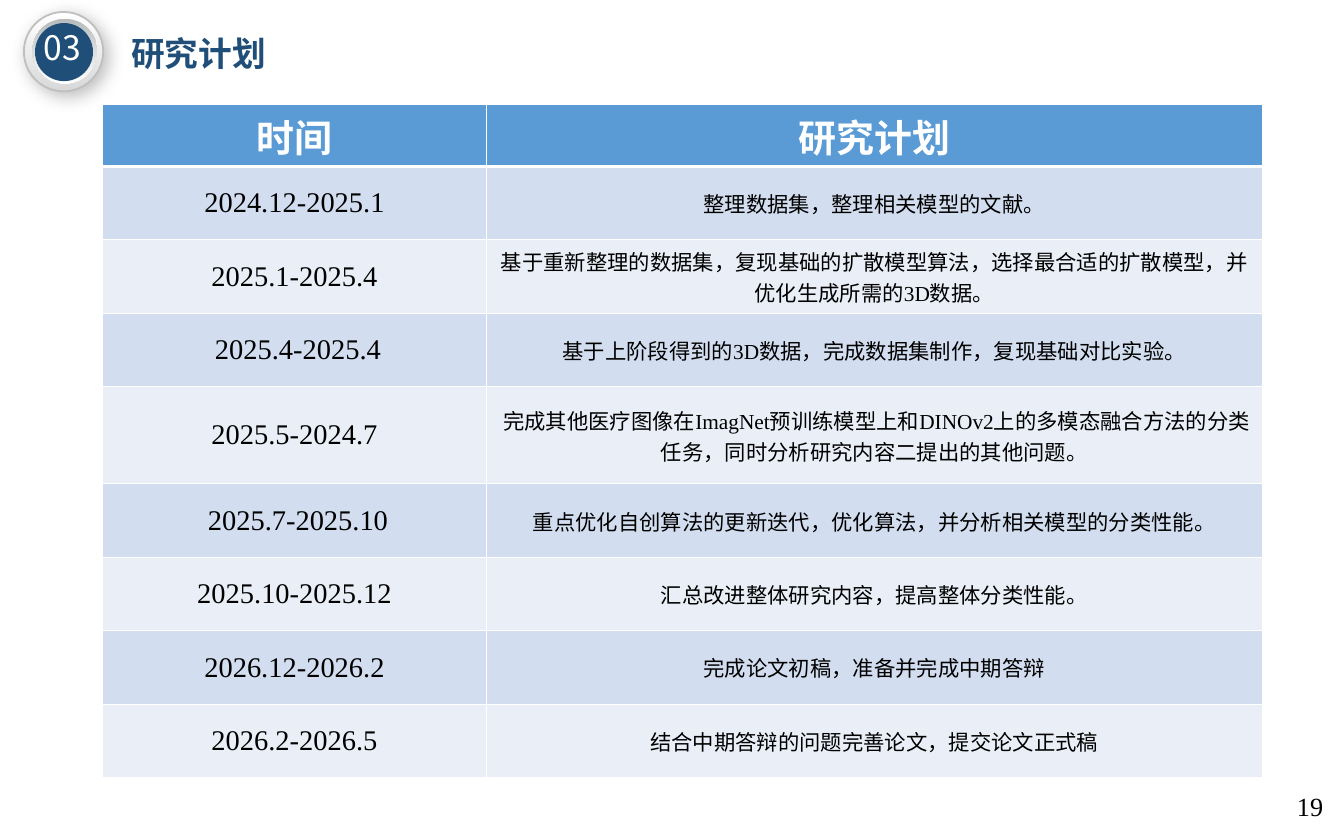
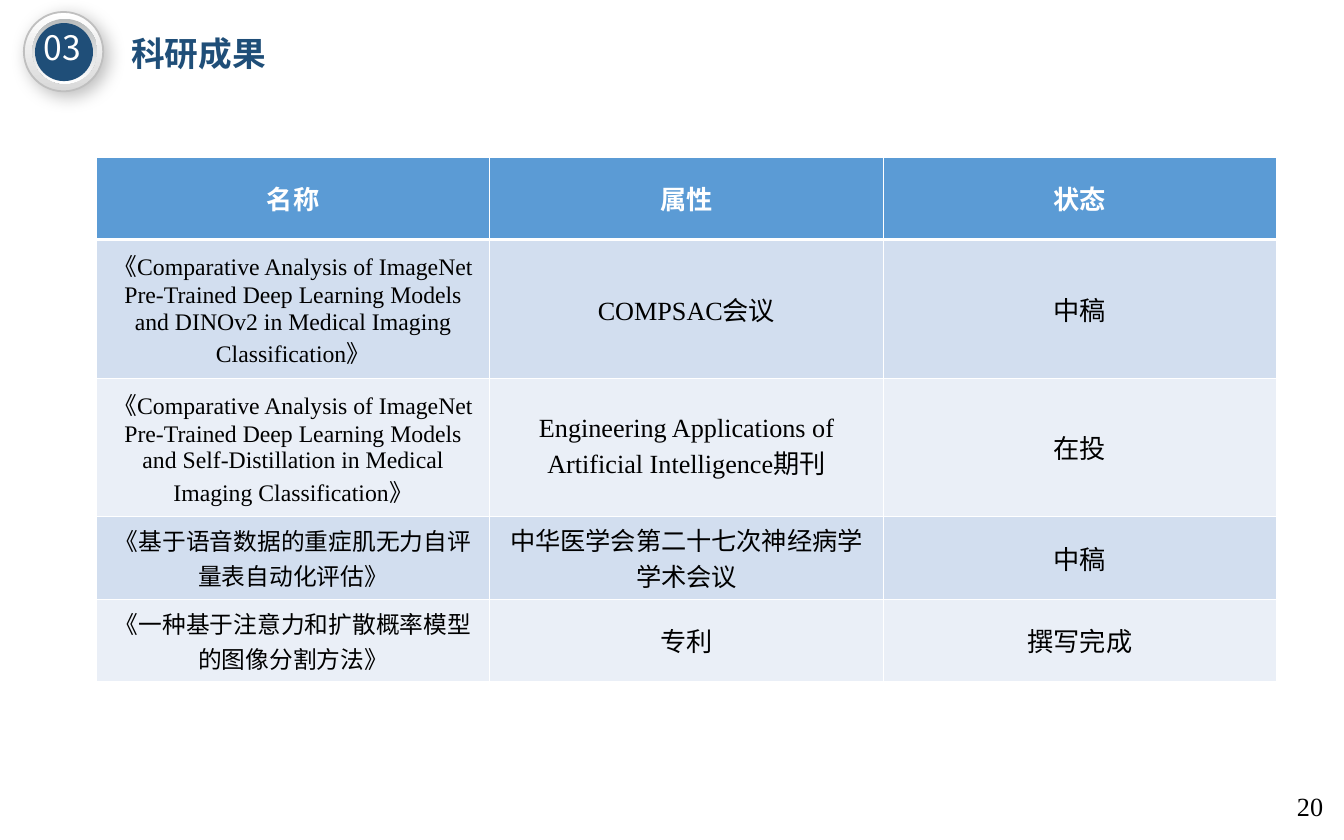
from dataclasses import dataclass, field

from lxml import etree
from pptx import Presentation
from pptx.dml.color import RGBColor
from pptx.enum.shapes import MSO_SHAPE
from pptx.enum.text import MSO_ANCHOR, PP_ALIGN
from pptx.oxml.ns import qn
from pptx.util import Inches, Pt

OVAL = MSO_SHAPE.OVAL
ROUNDED = MSO_SHAPE.ROUNDED_RECTANGLE
MIDDLE = MSO_ANCHOR.MIDDLE
LEFT, CENTER = PP_ALIGN.LEFT, PP_ALIGN.CENTER

SANS, SERIF = "Noto Sans CJK SC", "Times New Roman"
NAVY, WHITE, BLACK = "1F4E78", "FFFFFF", "000000"
HEADER_BLUE = "5B9BD5"
BANDS = ("D2DEEF", "EAEFF7")
THIN, THICK = 1, 3


@dataclass(frozen=True)
class TextStyle:
    size: float
    font: str
    color: str
    bold: bool = False
    align: PP_ALIGN = CENTER


@dataclass(frozen=True)
class Ring:
    shape: MSO_SHAPE
    left: float
    top: float
    size: float
    colors: tuple[str, ...]
    line: str = ""
    shadow: bool = False


@dataclass(frozen=True)
class TablePage:
    title: str
    number: int
    left: float
    top: float
    widths: list[float]
    heights: list[float]
    header_size: float
    body_sizes: list[float]
    rows: list[list[str]]
    special_styles: dict[str, TextStyle] = field(default_factory=dict)


TITLE = TextStyle(28.4, SANS, NAVY, True, LEFT)
SECTION = TextStyle(28.4, SANS, WHITE)
PAGE_NUMBER = TextStyle(22.1, SERIF, BLACK, align=LEFT)

BADGE = [
    Ring(OVAL, 0.28, 0.14, 0.93, (WHITE, "D9D9D9"), "BFBFBF", True),
    Ring(ROUNDED, 0.38, 0.22, 0.76, ("B8BBBC", WHITE)),
    Ring(OVAL, 0.41, 0.27, 0.68, (NAVY,)),
]

CONFERENCE = "中华医学会第二十七次神经病学学术会议"

PAGES = [
    TablePage(
        "研究计划", 19, 1.2, 1.22, [4.5, 9.09],
        [0.73] + [0.86] * 3 + [1.14] + [0.86] * 4, 32, [24, 18],
        [
            ["时间", "研究计划"],
            ["2024.12-2025.1", "整理数据集，整理相关模型的文献。"],
            ["2025.1-2025.4", "基于重新整理的数据集，复现基础的扩散模型算法，选择最合适的扩散模型，并优化生成所需的3D数据。"],
            [" 2025.4-2025.4", "基于上阶段得到的3D数据，完成数据集制作，复现基础对比实验。"],
            ["2025.5-2024.7", " 完成其他医疗图像在ImagNet预训练模型上和DINOv2上的多模态融合方法的分类任务，同时分析研究内容二提出的其他问题。"],
            [" 2025.7-2025.10", "重点优化自创算法的更新迭代，优化算法，并分析相关模型的分类性能。"],
            ["2025.10-2025.12", "汇总改进整体研究内容，提高整体分类性能。"],
            ["2026.12-2026.2", "完成论文初稿，准备并完成中期答辩"],
            ["2026.2-2026.5", "结合中期答辩的问题完善论文，提交论文正式稿"],
        ],
    ),
    TablePage(
        "科研成果", 20, 1.13, 1.84, [4.61] * 3,
        [0.97, 1.62, 1.62, 0.97, 0.97], 22.1, [20, 22.1, 22.1],
        [
            ["名称", "属性", "状态"],
            ["《Comparative Analysis of ImageNet Pre-Trained Deep Learning Models and DINOv2 in Medical Imaging Classification》", "COMPSAC会议", "中稿"],
            ["《Comparative Analysis of ImageNet Pre-Trained Deep Learning Models and Self-Distillation in Medical Imaging Classification》", "Engineering Applications of Artificial Intelligence期刊", "在投"],
            ["《基于语音数据的重症肌无力自评量表自动化评估》", CONFERENCE, "中稿"],
            ["《一种基于注意力和扩散概率模型的图像分割方法》", "专利", "撰写完成"],
        ],
        {CONFERENCE: TextStyle(21.3, SANS, BLACK)},
    ),
]


def rgb(value: str) -> RGBColor:
    return RGBColor.from_string(value)


def add_node(parent, tag: str, **attributes):
    return etree.SubElement(parent, qn(tag), {key: str(value) for key, value in attributes.items()})


def write(frame, text: str, style: TextStyle) -> None:
    frame.word_wrap = True
    para = frame.paragraphs[0]
    para.text = text
    para.alignment = style.align
    font = para.font
    font.size = Pt(style.size)
    font.bold = style.bold
    font.color.rgb = rgb(style.color)
    font.name = style.font
    add_node(para._p.pPr.find(qn("a:defRPr")), "a:ea", typeface=SANS)


def add_text(page, left: float, top: float, width: float, height: float, text: str, style: TextStyle) -> None:
    box = page.shapes.add_textbox(Inches(left), Inches(top), Inches(width), Inches(height))
    write(box.text_frame, text, style)


def add_soft_shadow(shape) -> None:
    effects = shape._element.spPr.find(qn("a:effectLst"))
    shadow = add_node(effects, "a:outerShdw", blurRad=Pt(15), dist=Pt(5), dir=45 * 60000, algn="tl", rotWithShape=0)
    color = add_node(shadow, "a:srgbClr", val=BLACK)
    add_node(color, "a:alpha", val=25000)


def add_ring(page, ring: Ring) -> None:
    size = Inches(ring.size)
    shape = page.shapes.add_shape(ring.shape, Inches(ring.left), Inches(ring.top), size, size)
    if ring.shape == ROUNDED:
        shape.adjustments[0] = 0.5
    if len(ring.colors) == 1:
        shape.fill.solid()
        shape.fill.fore_color.rgb = rgb(ring.colors[0])
    else:
        shape.fill.gradient()
        shape.fill.gradient_angle = 270
        for stop, color in zip(shape.fill.gradient_stops, ring.colors):
            stop.color.rgb = rgb(color)
    if ring.line:
        shape.line.color.rgb = rgb(ring.line)
        shape.line.width = Pt(1.5)
    else:
        shape.line.fill.background()
    shape.shadow.inherit = False
    if ring.shadow:
        add_soft_shadow(shape)


def set_borders(cell, top: float, bottom: float) -> None:
    properties = cell._tc.get_or_add_tcPr()
    for tag, width in (("a:lnL", THIN), ("a:lnR", THIN), ("a:lnT", top), ("a:lnB", bottom)):
        line = add_node(properties, tag, w=Pt(width))
        add_node(add_node(line, "a:solidFill"), "a:srgbClr", val=WHITE)


def add_table(page, content: TablePage) -> None:
    table = page.shapes.add_table(
        len(content.heights), len(content.widths), Inches(content.left), Inches(content.top),
        Inches(sum(content.widths)), Inches(sum(content.heights)),
    ).table
    for column, width in zip(table.columns, content.widths):
        column.width = Inches(width)
    for row, height in zip(table.rows, content.heights):
        row.height = Inches(height)
    header = TextStyle(content.header_size, SANS, WHITE, True)
    for row_index, texts in enumerate(content.rows):
        is_header = row_index == 0
        for column_index, text in enumerate(texts):
            cell = table.cell(row_index, column_index)
            body = TextStyle(content.body_sizes[column_index], SERIF, BLACK)
            set_borders(cell, THICK if row_index == 1 else THIN, THICK if is_header else THIN)
            cell.fill.solid()
            cell.fill.fore_color.rgb = rgb(HEADER_BLUE if is_header else BANDS[(row_index - 1) % 2])
            cell.vertical_anchor = MIDDLE
            write(cell.text_frame, text, header if is_header else content.special_styles.get(text, body))


def add_page(deck, content: TablePage) -> None:
    page = deck.slides.add_slide(deck.slide_layouts[6])
    add_text(page, 1.44, 0.34, 2.73, 0.58, content.title, TITLE)
    for ring in BADGE:
        add_ring(page, ring)
    add_text(page, 0.27, 0.27, 0.92, 0.58, "03", SECTION)
    add_table(page, content)
    add_text(page, 15.1, 9.21, 0.65, 0.47, str(content.number), PAGE_NUMBER)


def main() -> None:
    deck = Presentation()
    deck.slide_width = Inches(15.75)
    deck.slide_height = Inches(9.84)
    for content in PAGES:
        add_page(deck, content)
    deck.save("out.pptx")


if __name__ == "__main__":
    main()
